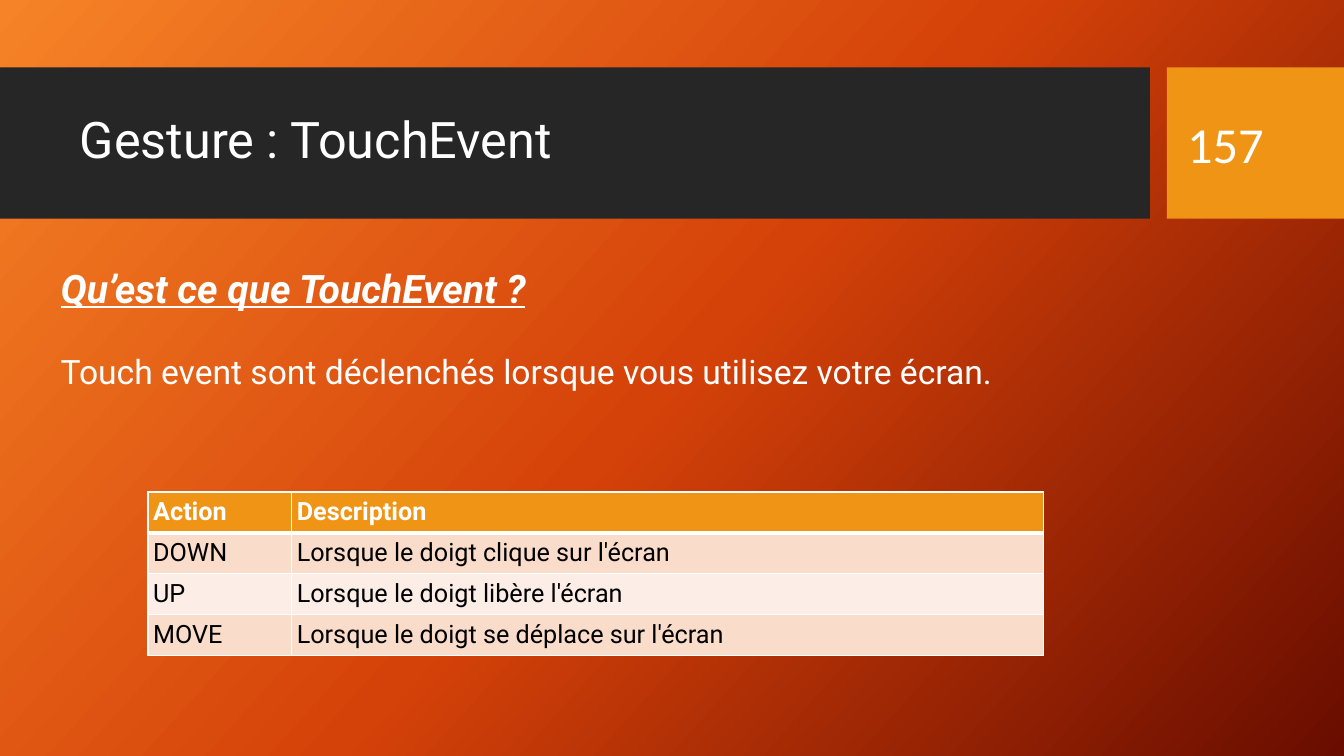
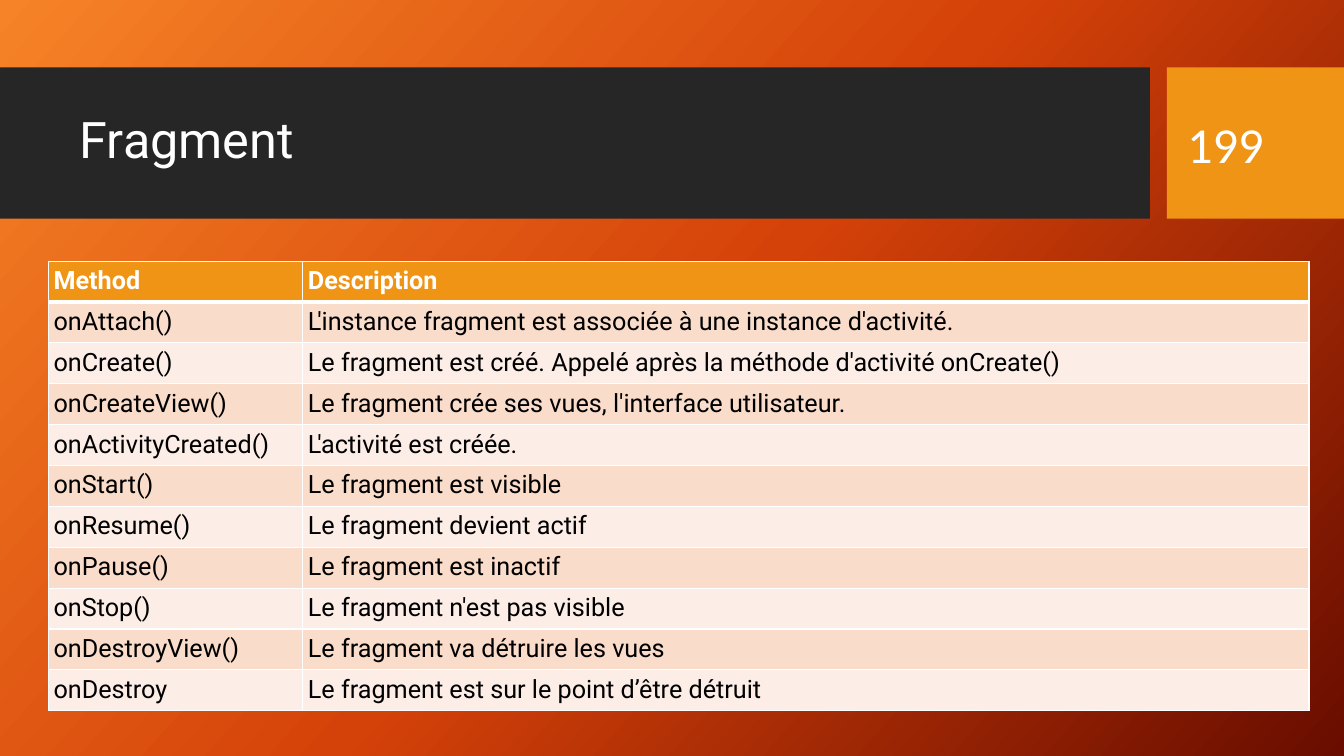
"""Build two course slides about touch events and fragments."""
from dataclasses import dataclass

from pptx import Presentation
from pptx.dml.color import RGBColor
from pptx.enum.shapes import MSO_SHAPE
from pptx.enum.text import MSO_ANCHOR, MSO_AUTO_SIZE, PP_ALIGN
from pptx.oxml import parse_xml
from pptx.oxml.ns import nsdecls, qn
from pptx.util import Cm, Pt

RECT = MSO_SHAPE.RECTANGLE
MIDDLE = MSO_ANCHOR.MIDDLE
FIXED = MSO_AUTO_SIZE.NONE
LEFT = PP_ALIGN.LEFT
TITLE_ONLY = 5


@dataclass(frozen=True)
class Theme:
    font: str = "Roboto"
    digits: str = "Calibri"
    white: str = "FFFFFF"
    black: str = "000000"
    dark: str = "262626"
    gold: str = "F09415"
    bands: tuple = ("F9DCCA", "FCEEE7")
    blend: tuple = ((0, "F68327"), (50, "D54209"), (100, "690D00"))
    angle: int = 42
    title: int = 36
    head: int = 28
    body: int = 24
    cell: int = 18
    thin: int = 1
    thick: int = 3
    inset: float = 0.13


THEME = Theme()
SIZE = (33.87, 19.05)
BANDS = [
    ((0, 1.7, 28.98, 3.81), THEME.dark),
    ((29.41, 1.7, 4.46, 3.81), THEME.gold),
]
TITLE_BOX = (1.88, 2.08, 26.7, 3)
PAGE_BOX = (29.79, 2.74, 2.29, 1.73)
BODY_BOX = (1.4, 6.53, 31.45, 3.5)
ROW = 1.03

SLIDES = [
    {
        "title": "Gesture : TouchEvent",
        "page": "157",
        "head": "Qu’est ce que TouchEvent ?",
        "body": "Touch event sont déclenchés lorsque vous utilisez votre écran.",
        "at": (3.73, 12.4),
        "cols": (3.62, 18.95),
        "rows": [
            ("Action", "Description"),
            ("DOWN", "Lorsque le doigt clique sur l'écran"),
            ("UP", "Lorsque le doigt libère l'écran"),
            ("MOVE", "Lorsque le doigt se déplace sur l'écran"),
        ],
    },
    {
        "title": "Fragment",
        "page": "199",
        "at": (1.22, 6.58),
        "cols": (6.41, 25.36),
        "rows": [
            ("Method", "Description"),
            ("onAttach()", "L'instance fragment est associée à une instance d'activité."),
            ("onCreate()", "Le fragment est créé. Appelé après la méthode d'activité onCreate()"),
            ("onCreateView()", "Le fragment crée ses vues, l'interface utilisateur."),
            ("onActivityCreated()", "L'activité est créée."),
            ("onStart()", "Le fragment est visible"),
            ("onResume()", "Le fragment devient actif"),
            ("onPause()", "Le fragment est inactif"),
            ("onStop()", "Le fragment n'est pas visible"),
            ("onDestroyView()", "Le fragment va détruire les vues"),
            ("onDestroy", "Le fragment est sur le point d’être détruit"),
        ],
    },
]


def lengths(box):
    """Turn centimetres into slide lengths."""
    return [Cm(part) for part in box]


def add_run(para, text, size, color=THEME.white, font=THEME.font, bold=False):
    """Add one styled run to a paragraph."""
    run = para.add_run()
    run.text = text
    run.font.name, run.font.size, run.font.bold = font, Pt(size), bold
    run.font.color.rgb = RGBColor.from_string(color)
    return run


def set_inset(part):
    """Give a text frame or cell the shared margins."""
    part.margin_left = part.margin_right = Cm(THEME.inset)
    part.margin_top = part.margin_bottom = Cm(THEME.inset)


def add_text(slide, box, wrap=True):
    """Add a text box and return its frame."""
    frame = slide.shapes.add_textbox(*lengths(box)).text_frame
    frame.word_wrap = wrap
    set_inset(frame)
    return frame


def set_back(master):
    """Paint the gradient on the master."""
    fill = master.background.fill
    fill.gradient()
    fill.gradient_angle = 360 - THEME.angle
    stops = master.element.find(".//" + qn("a:gsLst"))
    for stop in list(stops):
        stops.remove(stop)
    for place, color in THEME.blend:
        stops.append(parse_xml(
            f'<a:gs {nsdecls("a")} pos="{place * 1000}">'
            f'<a:srgbClr val="{color}"/></a:gs>'))


def add_bands(slide, layout):
    """Put the title bands on the layout, behind its title."""
    for mark in list(layout.placeholders)[1:]:
        mark.element.getparent().remove(mark.element)
    for spot, (box, color) in enumerate(BANDS, 2):
        band = slide.shapes.add_shape(RECT, *lengths(box))
        band.shadow.inherit = False
        band.fill.solid()
        band.fill.fore_color.rgb = RGBColor.from_string(color)
        band.line.fill.background()
        layout.shapes.element.insert(spot, band.element)


def set_title(slide, text):
    """Place and style the title."""
    title = slide.shapes.title
    title.left, title.top, title.width, title.height = lengths(TITLE_BOX)
    frame = title.text_frame
    frame.auto_size, frame.vertical_anchor = FIXED, MIDDLE
    set_inset(frame)
    para = frame.paragraphs[0]
    para.alignment, para.line_spacing = LEFT, 0.9
    add_run(para, text, THEME.title)


def add_page(slide, text):
    """Write the page number in the gold band."""
    frame = add_text(slide, PAGE_BOX, wrap=False)
    frame.vertical_anchor = MIDDLE
    add_run(frame.paragraphs[0], text, THEME.title, font=THEME.digits)


def add_body(slide, head, body):
    """Write the question and its answer."""
    frame = add_text(slide, BODY_BOX)
    run = add_run(frame.paragraphs[0], head, THEME.head, bold=True)
    run.font.italic = run.font.underline = True
    para = frame.add_paragraph()
    para.space_before = Pt(THEME.head)
    add_run(para, body, THEME.body)


def add_edges(props, row):
    """Draw white borders, thick under the header row."""
    top = THEME.thick if row == 1 else THEME.thin
    base = THEME.thick if row == 0 else THEME.thin
    for side, width in zip("LRTB", (THEME.thin, THEME.thin, top, base)):
        props.append(parse_xml(
            f'<a:ln{side} {nsdecls("a")} w="{Pt(width)}"><a:solidFill>'
            f'<a:srgbClr val="{THEME.white}"/></a:solidFill></a:ln{side}>'))


def add_grid(slide, at, cols, rows):
    """Add a table with a gold header and two row tints."""
    box = (*at, sum(cols), ROW * len(rows))
    frame = slide.shapes.add_table(len(rows), len(cols), *lengths(box))
    grid = frame.table
    for col, width in zip(grid.columns, cols):
        col.width = Cm(width)
    for num, line in enumerate(frame.element.iter(qn("a:tr"))):
        for node in line.iter(qn("a:tc")):
            add_edges(node.get_or_add_tcPr(), num)
    for num, texts in enumerate(rows):
        grid.rows[num].height = Cm(ROW)
        first = num == 0
        tint = THEME.gold if first else THEME.bands[(num - 1) % 2]
        ink = THEME.white if first else THEME.black
        for col, text in enumerate(texts):
            cell = grid.cell(num, col)
            set_inset(cell)
            cell.fill.solid()
            cell.fill.fore_color.rgb = RGBColor.from_string(tint)
            add_run(cell.text_frame.paragraphs[0], text, THEME.cell, ink, bold=first)


def main():
    """Build and save the deck."""
    deck = Presentation()
    deck.slide_width, deck.slide_height = lengths(SIZE)
    layout = deck.slide_layouts[TITLE_ONLY]
    set_back(deck.slide_master)
    for num, data in enumerate(SLIDES):
        slide = deck.slides.add_slide(layout)
        if num == 0:
            add_bands(slide, layout)
        set_title(slide, data["title"])
        add_page(slide, data["page"])
        if "head" in data:
            add_body(slide, data["head"], data["body"])
        add_grid(slide, data["at"], data["cols"], data["rows"])
    deck.save("out.pptx")


if __name__ == "__main__":
    main()
